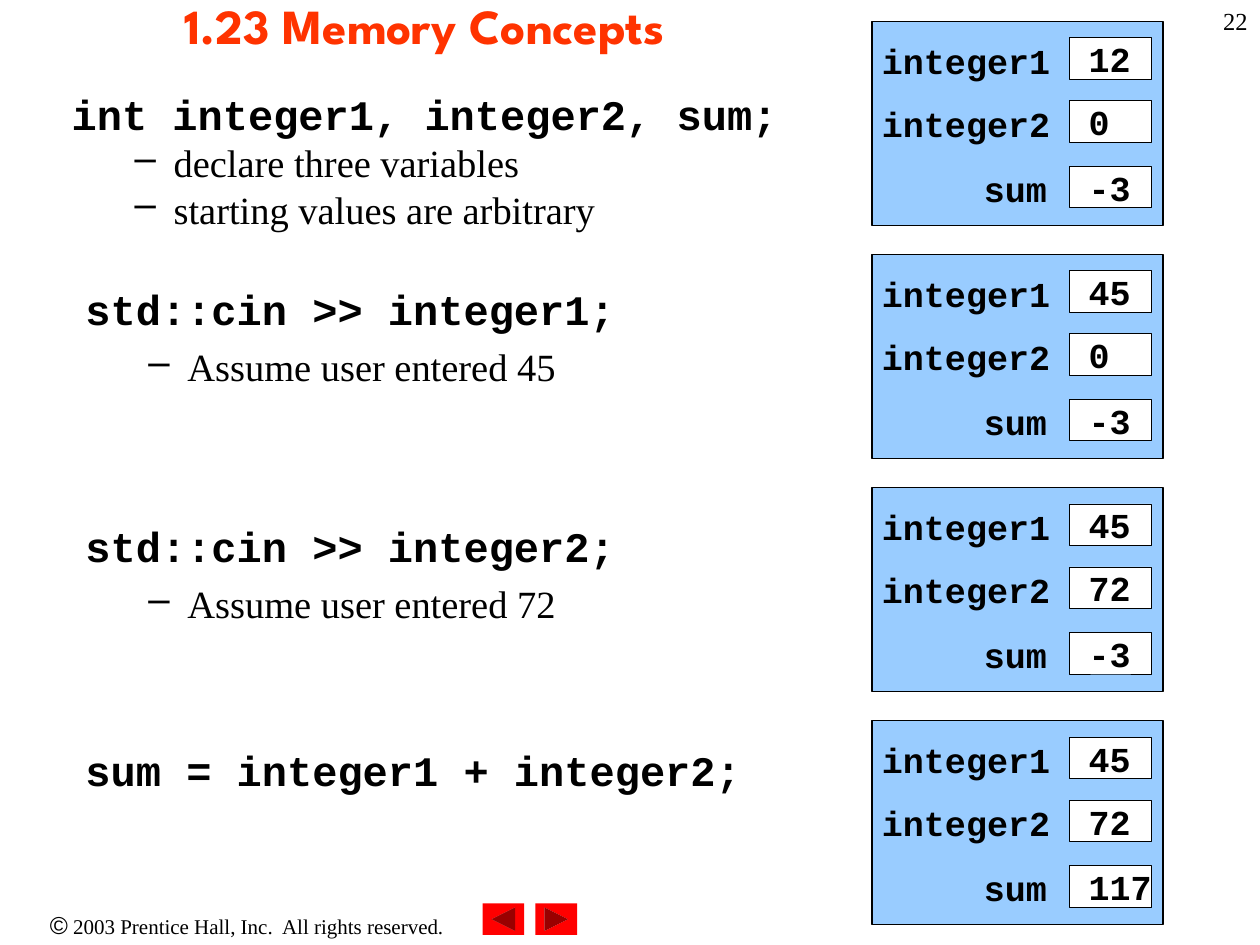
from lxml import etree
from pptx import Presentation
from pptx.dml.color import RGBColor
from pptx.enum.shapes import MSO_SHAPE
from pptx.enum.text import MSO_ANCHOR, MSO_AUTO_SIZE, PP_ALIGN
from pptx.oxml.ns import qn
from pptx.util import Inches, Pt

LEFT, CENTER, RIGHT = PP_ALIGN.LEFT, PP_ALIGN.CENTER, PP_ALIGN.RIGHT
RECTANGLE = MSO_SHAPE.RECTANGLE
BACK = MSO_SHAPE.ACTION_BUTTON_BACK_OR_PREVIOUS
FORWARD = MSO_SHAPE.ACTION_BUTTON_FORWARD_OR_NEXT
FIXED_SIZE, FIT_TO_TEXT = MSO_AUTO_SIZE.NONE, MSO_AUTO_SIZE.SHAPE_TO_FIT_TEXT
MIDDLE = MSO_ANCHOR.MIDDLE

TITLE = "1.23 Memory Concepts"
PAGE_NUMBER = "22"
COPYRIGHT = " 2003 Prentice Hall, Inc.  All rights reserved."

# Each step: code, notes, values of the variables, text left, top, height, line spacing
STEPS = [
    ("int integer1, integer2, sum;",
     ["declare three variables", "starting values are arbitrary"],
     ["12", "0", "-3"], 0.47, 0.73, 1.43, 0.8),
    ("std::cin >> integer1;", ["Assume user entered 45"],
     ["45", "0", "-3"], 0.58, 2.2, 1.43, 1.0),
    ("std::cin >> integer2;", ["Assume user entered 72"],
     ["45", "72", "-3"], 0.58, 4.08, 1.3, 1.0),
    ("sum = integer1 + integer2;", [],
     ["45", "72", "117"], 0.58, 5.86, 1.25, 1.0),
]
# Each variable: name, offset in the panel, label left, label width, alignment
VARIABLES = [
    ("integer1", 0.13, 7.0, 1.34, LEFT),
    ("integer2", 0.63, 7.0, 1.34, LEFT),
    ("sum", 1.15, 7.75, 0.56, RIGHT),
]
BUTTONS = [(BACK, 3.83), (FORWARD, 4.25)]

PANEL_LEFT, PANEL_TOP, PANEL_STEP = 6.92, 0.17, 1.85
PANEL_WIDTH, PANEL_HEIGHT = 2.31, 1.62
CELL_LEFT, CELL_WIDTH, CELL_HEIGHT = 8.49, 0.65, 0.33
VALUE_LEFT, CHARACTER_WIDTH = 8.64, 0.17

THEME = {
    "title": ("League Spartan", 28, True, "FF3300"),
    "code": ("Courier New", 24, True, "000000"),
    "note": ("Times New Roman", 22, False, "000000"),
    "memory": ("Courier New", 20, True, "000000"),
    "page": ("Times New Roman", 14, False, "000000"),
    "symbol": ("Arial", 14, False, "000000"),
    "footer": ("Times New Roman", 12, False, "000000"),
    "panel": "99CCFF",
    "cell": "FFFFFF",
    "line": "000000",
    "button": "FF0000",
}


def style_font(font, style):
    font.name, size, font.bold, color = THEME[style]
    font.size = Pt(size)
    font.color.rgb = RGBColor.from_string(color)


def add_text(shapes, box, text, style, align=LEFT):
    """Add a text box with one paragraph and return its text frame."""
    frame = shapes.add_textbox(*map(Inches, box)).text_frame
    frame.word_wrap = True
    paragraph = frame.paragraphs[0]
    paragraph.text = text
    paragraph.alignment = align
    style_font(paragraph.font, style)
    return frame


def add_memory_text(shapes, box, text, align=LEFT):
    """Add a tight text box that grows with its text."""
    frame = add_text(shapes, box, text, "memory", align)
    frame.margin_left = frame.margin_right = 0
    frame.margin_top = frame.margin_bottom = 0
    frame.word_wrap = align == RIGHT
    frame.auto_size = FIT_TO_TEXT


def add_block(shapes, kind, box, fill, line_width=None):
    shape = shapes.add_shape(kind, *map(Inches, box))
    shape.shadow.inherit = False
    shape.fill.solid()
    shape.fill.fore_color.rgb = RGBColor.from_string(THEME[fill])
    if line_width is None:
        shape.line.fill.background()
    else:
        shape.line.color.rgb = RGBColor.from_string(THEME["line"])
        shape.line.width = Pt(line_width)


def set_indent(paragraph, left, first):
    properties = paragraph._p.get_or_add_pPr()
    properties.set("marL", str(Inches(left)))
    properties.set("indent", str(Inches(first)))
    return properties


def add_note(frame, text, spacing):
    paragraph = frame.add_paragraph()
    paragraph.text = text
    paragraph.level = 1
    properties = set_indent(paragraph, 0.81, -0.31)
    etree.SubElement(properties, qn("a:buChar")).set("char", "–")
    paragraph.space_before = Pt(5.5)
    paragraph.line_spacing = spacing
    style_font(paragraph.font, "note")


def add_panel(shapes, top, values):
    """Draw the memory panel with one labelled cell per variable."""
    add_block(shapes, RECTANGLE, (PANEL_LEFT, top, PANEL_WIDTH, PANEL_HEIGHT), "panel", 0.75)
    for (name, offset, left, width, align), value in zip(VARIABLES, values):
        y = top + offset
        add_block(shapes, RECTANGLE, (CELL_LEFT, y, CELL_WIDTH, CELL_HEIGHT), "cell", 0.5)
        add_memory_text(shapes, (left, y + 0.01, width, CELL_HEIGHT), name, align)
        value_width = len(value) * CHARACTER_WIDTH
        add_memory_text(shapes, (VALUE_LEFT, y, value_width, CELL_HEIGHT), value)


def add_step(shapes, code, notes, left, top, height, spacing):
    frame = add_text(shapes, (left, top, 8.5, height), code, "code")
    paragraph = frame.paragraphs[0]
    set_indent(paragraph, 0.38, -0.38)
    paragraph.line_spacing = spacing
    for note in notes:
        add_note(frame, note, spacing)


def add_title(slide):
    title = slide.shapes.title
    title.left, title.top, title.width, title.height = map(Inches, (0.58, 0.08, 5.58, 0.23))
    frame = title.text_frame
    frame.text = TITLE
    frame.auto_size = FIXED_SIZE
    frame.vertical_anchor = MIDDLE
    frame.paragraphs[0].alignment = CENTER
    style_font(frame.paragraphs[0].font, "title")


def main():
    presentation = Presentation()
    presentation.slide_width, presentation.slide_height = Inches(10), Inches(7.5)
    slide = presentation.slides.add_slide(presentation.slide_layouts[5])
    shapes = slide.shapes
    add_title(slide)

    footer = add_text(shapes, (0, 7.17, 3.92, 0.34), "©", "symbol", CENTER)
    run = footer.paragraphs[0].add_run()
    run.text = COPYRIGHT
    style_font(run.font, "footer")
    for kind, left in BUTTONS:
        add_block(shapes, kind, (left, 7.17, 0.33, 0.25), "button")
    add_text(shapes, (7.92, 0, 2.08, 0.5), PAGE_NUMBER, "page", RIGHT)

    for index, (code, notes, values, *placement) in enumerate(STEPS):
        group = shapes.add_group_shape()
        add_panel(group.shapes, PANEL_TOP + index * PANEL_STEP, values)
        add_step(group.shapes, code, notes, *placement)

    presentation.save("out.pptx")


if __name__ == "__main__":
    main()
